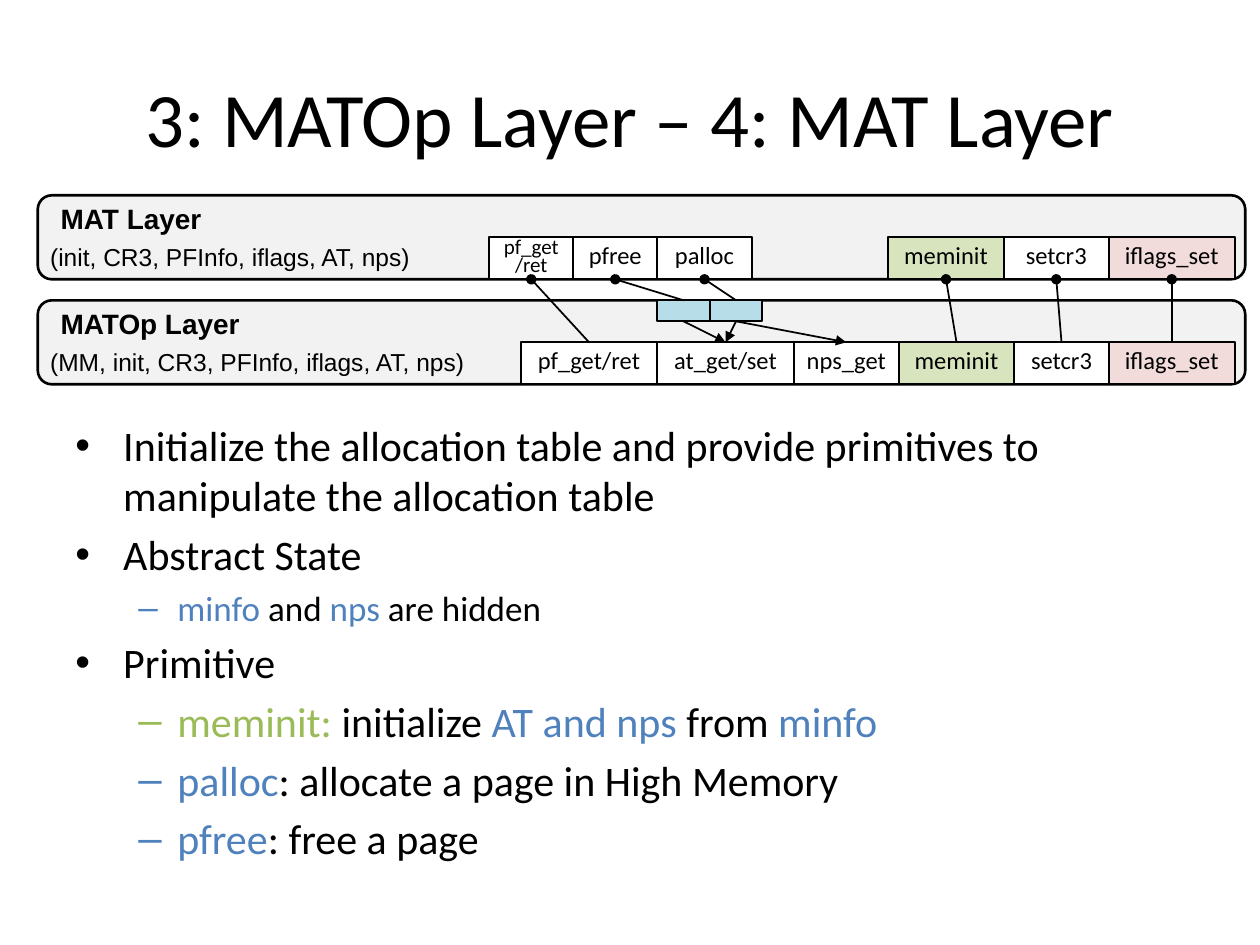
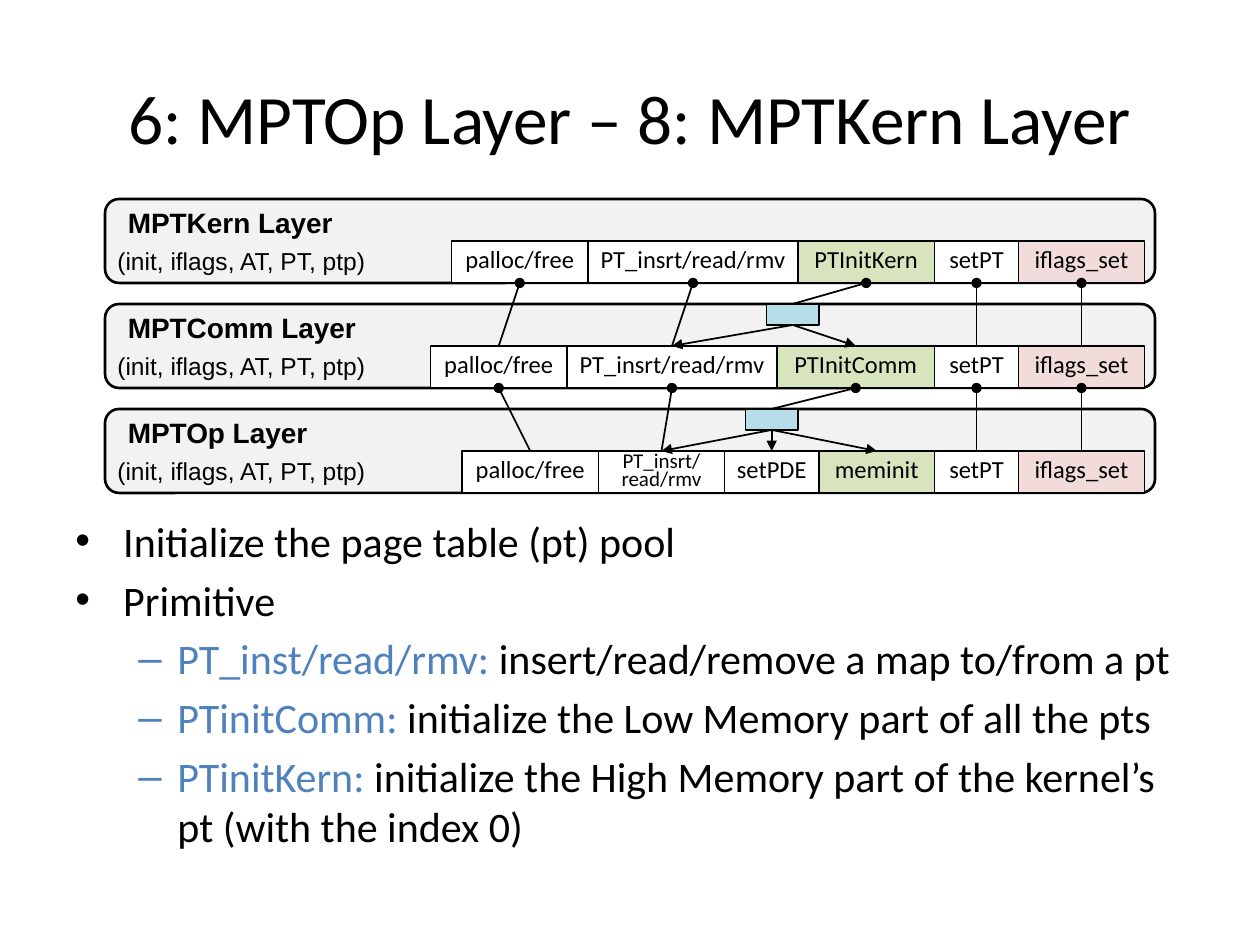
"""Build two slides that show how neighbouring kernel layers refine each other."""
from dataclasses import dataclass, field
from typing import Any, NamedTuple

import lxml.etree
import pptx
import pptx.dml.color
import pptx.enum.shapes
import pptx.enum.text
import pptx.oxml.ns
import pptx.util

COLUMNS, ROWS = 120, 90
LAYER_HEIGHT, LAYER_PITCH = 8, 10
CELL_HEIGHT = 4
JOINT_WIDTH, JOINT_HEIGHT = 5, 2
BLACK, WHITE, GREY = "000000", "FFFFFF", "F2F2F2"
GREEN, PINK, CYAN = "D7E4BD", "F2DCDB", "B7DEE8"
BLUE_TEXT, GREEN_TEXT = "4F81BD", "9BBB59"
BULLETS = {0: ("•", 0.38, -0.38), 1: ("–", 0.81, -0.31)}
SHAPES = pptx.enum.shapes.MSO_SHAPE
ALIGN = pptx.enum.text.PP_ALIGN
MIDDLE = pptx.enum.text.MSO_ANCHOR.MIDDLE


class Box(NamedTuple):
    left: float
    top: float
    width: float
    height: float


class Run(NamedTuple):
    text: str
    colour: str = BLACK


class Bullet(NamedTuple):
    runs: list[Run]
    level: int = 0
    size: float = 24


class Cell(NamedTuple):
    name: str
    width: float
    fill: str = WHITE
    size: float = 14


class Joint(NamedTuple):
    source: str
    column: float
    targets: list[str]


@dataclass
class Layer:
    name: str
    state: str
    name_width: float
    state_width: float
    cells: list[Cell]
    joints: list[Joint] = field(default_factory=list)
    direct: list[tuple[str, str]] = field(default_factory=list)


@dataclass
class Topic:
    title: str
    title_size: float
    left: float
    top: float
    width: float
    layers: list[Layer]
    body: Box
    bullets: list[Bullet]


IFLAGS = Cell("iflags_set", 12, PINK)
SET_PT = Cell("setPT", 8)
MEMINIT = Cell("meminit", 11, GREEN)
PAGE_CELL = Cell("palloc/free", 13)
TABLE_CELL = Cell("PT_insrt/read/rmv", 20)
SPACER = Cell("", 13)
PT_STATE = "(init, iflags, AT, PT, ptp)"
PT_DIRECT = [(cell.name, cell.name) for cell in (PAGE_CELL, TABLE_CELL, SET_PT, IFLAGS)]

TOPICS = [
    Topic(
        "3: MATOp Layer – 4: MAT Layer", 44, 3.6, 18.6, 115,
        [
            Layer("MAT Layer", "(init, CR3, PFInfo, iflags, AT, nps)", 19, 37,
                  [Cell("pf_get/ret", 8, size=12), Cell("pfree", 8), Cell("palloc", 9),
                   SPACER, MEMINIT, Cell("setcr3", 10), IFLAGS]),
            Layer("MATOp Layer", "(MM, init, CR3, PFInfo, iflags, AT, nps)", 23, 42,
                  [Cell("pf_get/ret", 13), Cell("at_get/set", 13), Cell("nps_get", 10),
                   MEMINIT, Cell("setcr3", 9), IFLAGS],
                  [Joint("pfree", 59, ["at_get/set"]),
                   Joint("palloc", 64, ["at_get/set", "nps_get"])],
                  [(name, name) for name in ("pf_get/ret", "meminit", "setcr3", "iflags_set")]),
        ],
        Box(6, 39.36, 108, 44.5),
        [
            Bullet([Run("Initialize the allocation table and provide primitives to "
                        "manipulate the allocation table")]),
            Bullet([Run("Abstract State")]),
            Bullet([Run("minfo ", BLUE_TEXT), Run("and "), Run("nps ", BLUE_TEXT),
                    Run("are hidden")], 1, 20),
            Bullet([Run("Primitive")]),
            Bullet([Run("meminit: ", GREEN_TEXT), Run("initialize "),
                    Run("AT and nps ", BLUE_TEXT), Run("from "), Run("minfo", BLUE_TEXT)], 1),
            Bullet([Run("palloc", BLUE_TEXT), Run(": allocate a page in High Memory")], 1),
            Bullet([Run("pfree", BLUE_TEXT), Run(": free a page")], 1),
        ],
    ),
    Topic(
        "6: MPTOp Layer – 8: MPTKern Layer", 39.6, 10, 18.95, 100,
        [
            Layer("MPTKern Layer", PT_STATE, 23, 27,
                  [PAGE_CELL, TABLE_CELL, Cell("PTInitKern", 13, GREEN), SET_PT, IFLAGS]),
            Layer("MPTComm Layer", PT_STATE, 25, 26,
                  [PAGE_CELL, TABLE_CELL, Cell("PTInitComm", 15, GREEN), SET_PT, IFLAGS],
                  [Joint("PTInitKern", 63, ["PT_insrt/read/rmv", "PTInitComm"])], PT_DIRECT),
            Layer("MPTOp Layer", PT_STATE, 20, 26,
                  [PAGE_CELL, Cell("PT_insrt/read/rmv", 12, size=12), Cell("setPDE", 9),
                   MEMINIT, SET_PT, IFLAGS],
                  [Joint("PTInitComm", 61, ["PT_insrt/read/rmv", "setPDE", "meminit"])],
                  PT_DIRECT),
        ],
        Box(6, 48.48, 108, 36.6),
        [
            Bullet([Run("Initialize the page table (pt) pool")]),
            Bullet([Run("Primitive")]),
            Bullet([Run("PT_inst/read/rmv: ", BLUE_TEXT),
                    Run("insert/read/remove a map to/from a pt")], 1),
            Bullet([Run("PTinitComm: ", BLUE_TEXT),
                    Run("initialize the Low Memory part of all the pts")], 1),
            Bullet([Run("PTinitKern: ", BLUE_TEXT),
                    Run("initialize the High Memory part of the kernel’s pt (with the index 0)")], 1),
        ],
    ),
]


def grid(units: float) -> int:
    return pptx.util.Inches(units / 12)


def emu(box: Box) -> list[int]:
    return [grid(units) for units in box]


def rgb(colour: str) -> pptx.dml.color.RGBColor:
    return pptx.dml.color.RGBColor.from_string(colour)


def apply(target: Any, values: dict[str, Any]) -> None:
    for name, value in values.items():
        setattr(target, name, value)


def add_xml(parent: Any, tag: str, **attributes: str) -> Any:
    return lxml.etree.SubElement(parent, pptx.oxml.ns.qn(tag), attributes)


def add_run(paragraph: Any, run: Run, size: float, face: str = "Calibri", bold: bool = False) -> None:
    words = paragraph.add_run()
    words.text = run.text
    apply(words.font, {"size": pptx.util.Pt(size), "name": face, "bold": bold})
    words.font.color.rgb = rgb(run.colour)


def add_panel(slide: Any, preset: Any, box: Box, fill: str, weight: float = 1) -> Any:
    panel = slide.shapes.add_shape(preset, *emu(box))
    panel.shadow.inherit = False
    panel.fill.solid()
    panel.fill.fore_color.rgb = rgb(fill)
    panel.line.color.rgb = rgb(BLACK)
    panel.line.width = pptx.util.Pt(weight)
    return panel


def add_cell(slide: Any, cell: Cell, left: float, top: float) -> Any:
    panel = add_panel(slide, SHAPES.RECTANGLE, Box(left, top, cell.width, CELL_HEIGHT), cell.fill)
    apply(panel.text_frame, {"word_wrap": True, "vertical_anchor": MIDDLE})
    paragraph = panel.text_frame.paragraphs[0]
    apply(paragraph, {"alignment": ALIGN.CENTER, "line_spacing": 0.7})
    add_run(paragraph, Run(cell.name), cell.size)
    return panel


def add_label(slide: Any, text: str, box: Box, size: float, bold: bool = False) -> None:
    frame = slide.shapes.add_textbox(*emu(box)).text_frame
    frame.word_wrap = True
    add_run(frame.paragraphs[0], Run(text), size, "Arial", bold)


def add_link(slide: Any, upper: Any, lower: Any, end: str, style: str) -> None:
    link = slide.shapes.add_connector(pptx.enum.shapes.MSO_CONNECTOR.STRAIGHT, 0, 0, 0, 0)
    link.begin_connect(upper, 2)
    link.end_connect(lower, 0)
    link.line.color.rgb = rgb(BLACK)
    link.line.width = pptx.util.Pt(1)
    properties = link._element.spPr
    add_xml(properties.find(pptx.oxml.ns.qn("a:ln")), end, type=style)
    add_xml(properties, "a:effectLst")


def add_layer(slide: Any, layer: Layer, topic: Topic, top: float) -> dict[str, Any]:
    band = Box(topic.left, top, topic.width, LAYER_HEIGHT)
    add_panel(slide, SHAPES.ROUNDED_RECTANGLE, band, GREY, 1.5)
    cell_top = top + LAYER_HEIGHT - CELL_HEIGHT
    add_label(slide, layer.name, Box(topic.left + 1, top, layer.name_width, 4.4), 16, True)
    add_label(slide, layer.state, Box(topic.left, cell_top - 0.1, layer.state_width, 4.1), 14)
    left = topic.left + topic.width - 1 - sum(cell.width for cell in layer.cells)
    panels = {}
    for cell in layer.cells:
        if cell.name:
            panels[cell.name] = add_cell(slide, cell, left, cell_top)
        left += cell.width
    return panels


def add_refinement(slide: Any, layer: Layer, topic: Topic, top: float,
                   upper: dict[str, Any], lower: dict[str, Any]) -> None:
    for source, target in layer.direct:
        add_link(slide, upper[source], lower[target], "a:headEnd", "oval")
    for joint in layer.joints:
        box = Box(topic.left + joint.column, top, JOINT_WIDTH, JOINT_HEIGHT)
        node = add_panel(slide, SHAPES.RECTANGLE, box, CYAN)
        add_link(slide, upper[joint.source], node, "a:headEnd", "oval")
        for target in joint.targets:
            add_link(slide, node, lower[target], "a:tailEnd", "triangle")


def add_bullets(slide: Any, box: Box, bullets: list[Bullet]) -> None:
    frame = slide.shapes.add_textbox(*emu(box)).text_frame
    frame.word_wrap = True
    for index, bullet in enumerate(bullets):
        paragraph = frame.add_paragraph() if index else frame.paragraphs[0]
        paragraph.level = bullet.level
        mark, margin, indent = BULLETS[bullet.level]
        properties = paragraph._p.get_or_add_pPr()
        properties.set("marL", str(pptx.util.Inches(margin)))
        properties.set("indent", str(pptx.util.Inches(indent)))
        add_xml(add_xml(properties, "a:spcBef"), "a:spcPct", val="20000")
        add_xml(properties, "a:buFont", typeface="Arial")
        add_xml(properties, "a:buChar", char=mark)
        for run in bullet.runs:
            add_run(paragraph, run, bullet.size)


def add_title(slide: Any, text: str, size: float) -> None:
    title = slide.shapes.title
    apply(title, dict(zip(("left", "top", "width", "height"), emu(Box(6, 3.6, 108, 15)))))
    title.text_frame.vertical_anchor = MIDDLE
    paragraph = title.text_frame.paragraphs[0]
    paragraph.alignment = ALIGN.CENTER
    add_run(paragraph, Run(text), size)


def add_topic(deck: Any, topic: Topic) -> None:
    slide = deck.slides.add_slide(deck.slide_layouts[5])
    add_title(slide, topic.title, topic.title_size)
    add_bullets(slide, topic.body, topic.bullets)
    tops = [topic.top + LAYER_PITCH * index for index in range(len(topic.layers))]
    panels = [add_layer(slide, layer, topic, top) for layer, top in zip(topic.layers, tops)]
    for layer, top, upper, lower in zip(topic.layers[1:], tops[1:], panels, panels[1:]):
        add_refinement(slide, layer, topic, top, upper, lower)


def main() -> None:
    deck = pptx.Presentation()
    apply(deck, {"slide_width": grid(COLUMNS), "slide_height": grid(ROWS)})
    for topic in TOPICS:
        add_topic(deck, topic)
    deck.save("out.pptx")


if __name__ == "__main__":
    main()
